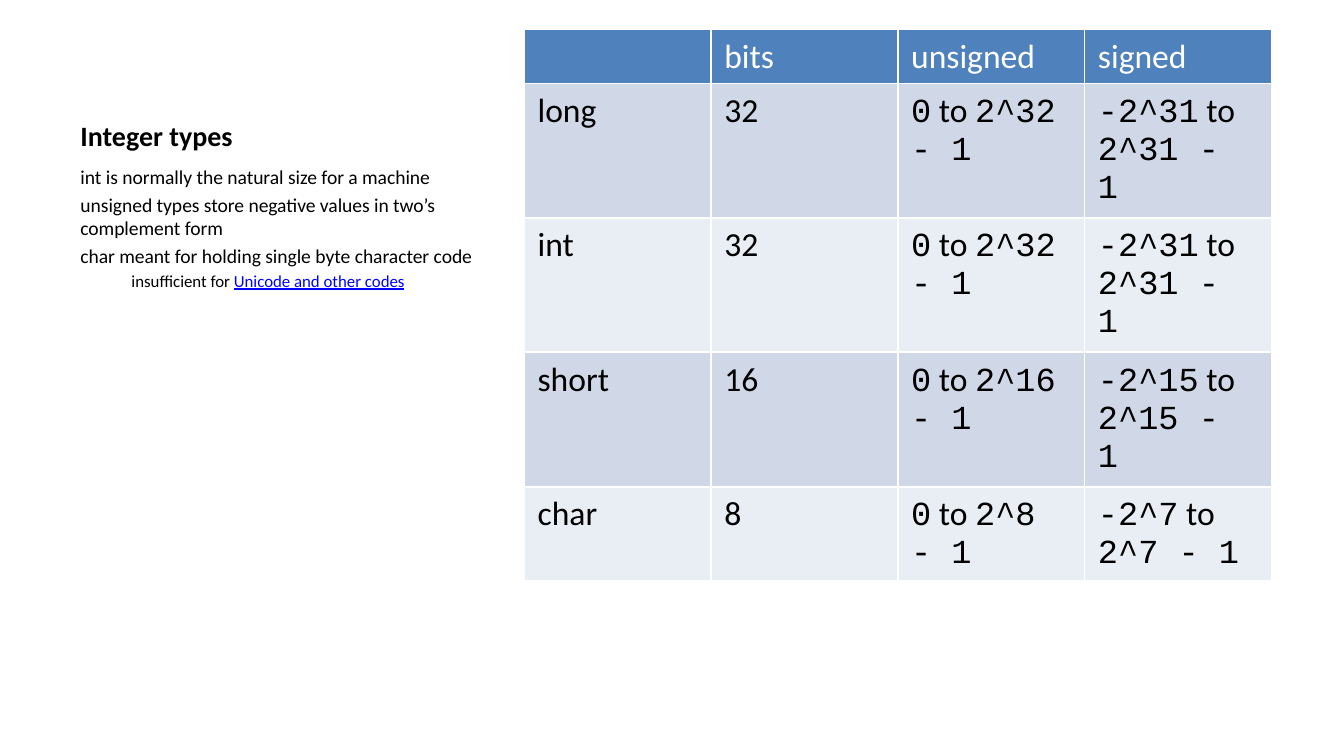
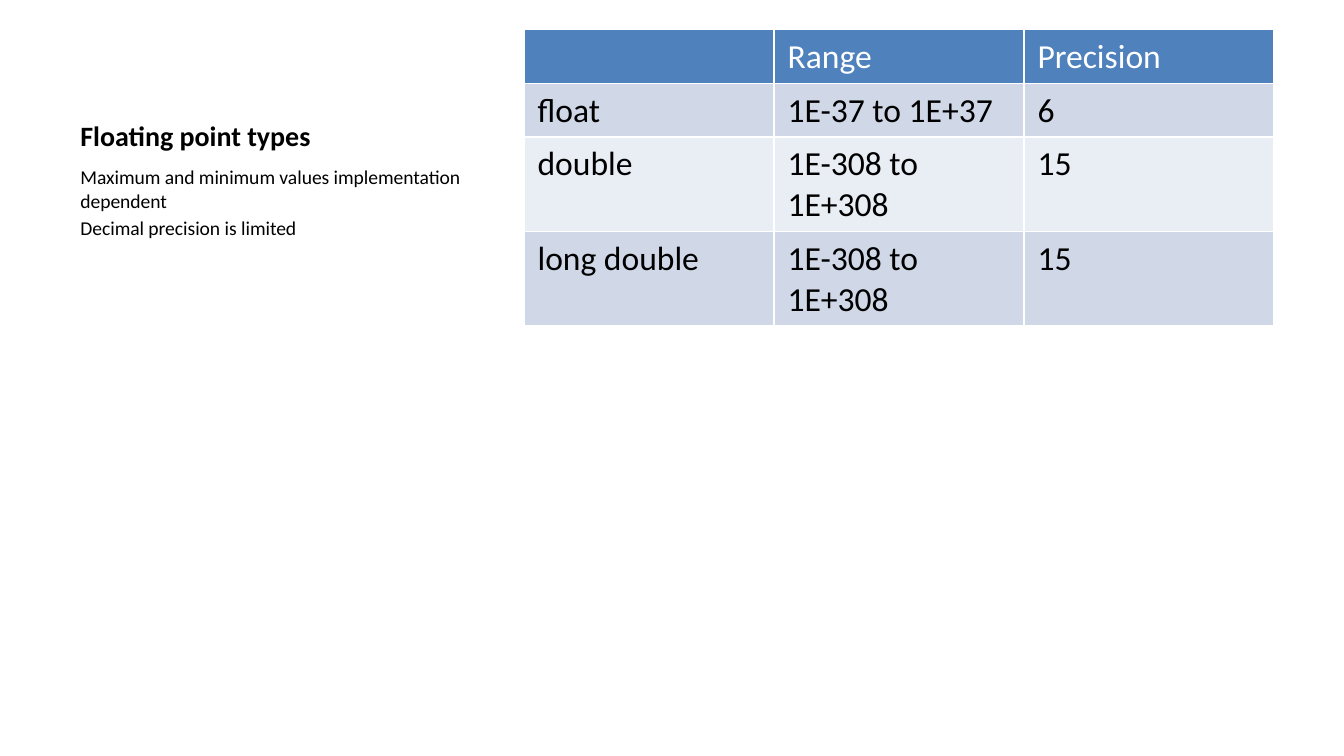
from lxml.etree import SubElement
from pptx import Presentation
from pptx.dml.color import RGBColor
from pptx.enum.text import MSO_ANCHOR
from pptx.oxml.ns import qn
from pptx.util import Inches, Pt

BLACK = RGBColor(0x00, 0x00, 0x00)
WHITE = RGBColor(0xFF, 0xFF, 0xFF)
LINK_BLUE = RGBColor(0x00, 0x00, 0xFF)
HEADER_BLUE = RGBColor(0x4F, 0x81, 0xBD)
BANDS = [RGBColor(0xD0, 0xD8, 0xE8), RGBColor(0xE9, 0xED, 0xF4)]

TEXT_FONT = "Calibri"
CODE_FONT = "Courier New"
NOTE_SIZES = [10.5, 9]
CELL_SIZE = 18

SLIDE_WIDTH = 10
SLIDE_HEIGHT = SLIDE_WIDTH * 9 / 16
LEFT, TOP = 0.5, 0.22
TEXT_WIDTH = 3.29
NOTES_TOP, NOTES_HEIGHT = 1.18, 3.85
TABLE_LEFT = 3.9
ROW_HEIGHT = 0.4

SLIDES = [
    {
        "title": "Integer types",
        "notes": [
            (0, "int is normally the natural size for a machine", ""),
            (0, "unsigned types store negative values in two’s complement form", ""),
            (0, "char meant for holding single byte character code", ""),
            (1, "insufficient for ", "Unicode and other codes"),
        ],
        "rows": [
            ("", "bits", "unsigned", "signed"),
            ("long", "32", ("0", "2^32 - 1"), ("-2^31", "2^31 - 1")),
            ("int", "32", ("0", "2^32 - 1"), ("-2^31", "2^31 - 1")),
            ("short", "16", ("0", "2^16 - 1"), ("-2^15", "2^15 - 1")),
            ("char", "8", ("0", "2^8 - 1"), ("-2^7", "2^7 - 1")),
        ],
        "column_width": 1.39,
    },
    {
        "title": "Floating point types",
        "notes": [
            (0, "Maximum and minimum values implementation dependent", ""),
            (0, "Decimal precision is limited", ""),
        ],
        "rows": [
            ("", "Range", "Precision"),
            ("float", "1E-37 to 1E+37", "6"),
            ("double", "1E-308 to 1E+308", "15"),
            ("long double", "1E-308 to 1E+308", "15"),
        ],
        "column_width": 1.86,
    },
]


def add_run(paragraph, text, size, color=BLACK, font=TEXT_FONT, bold=False):
    run = paragraph.add_run()
    run.text = text
    run.font.size = Pt(size)
    run.font.name = font
    run.font.color.rgb = color
    run.font.bold = bold
    return run


def add_text_frame(slide, top, height):
    box = slide.shapes.add_textbox(Inches(LEFT), Inches(top), Inches(TEXT_WIDTH), Inches(height))
    box.text_frame.word_wrap = True
    return box.text_frame


def add_title(slide, title):
    frame = add_text_frame(slide, TOP, NOTES_TOP - TOP)
    frame.vertical_anchor = MSO_ANCHOR.BOTTOM
    add_run(frame.paragraphs[0], title, 15, bold=True)


def add_notes(slide, notes):
    frame = add_text_frame(slide, NOTES_TOP, NOTES_HEIGHT)
    for index, (level, text, link) in enumerate(notes):
        paragraph = frame.paragraphs[0] if index == 0 else frame.add_paragraph()
        size = NOTE_SIZES[level]
        paragraph.level = level
        paragraph.space_before = Pt(size * 0.2)
        properties = paragraph._p.get_or_add_pPr()
        properties.set("marL", str(Inches(0.38 * level)))
        properties.set("indent", "0")
        add_run(paragraph, text, size)
        if link:
            add_run(paragraph, link, size, LINK_BLUE).font.underline = True


def set_borders(cell):
    properties = cell._tc.get_or_add_tcPr()
    for side in "LRTB":
        line = SubElement(properties, qn(f"a:ln{side}"), w=str(Pt(1)))
        solid = SubElement(line, qn("a:solidFill"))
        SubElement(solid, qn("a:srgbClr"), val=str(WHITE))


def fill_cell(cell, content, fill, color):
    set_borders(cell)
    cell.fill.solid()
    cell.fill.fore_color.rgb = fill
    paragraph = cell.text_frame.paragraphs[0]
    if isinstance(content, tuple):
        low, high = content
        add_run(paragraph, low, CELL_SIZE, color, CODE_FONT)
        add_run(paragraph, " to ", CELL_SIZE, color)
        add_run(paragraph, high, CELL_SIZE, color, CODE_FONT)
    elif content:
        add_run(paragraph, content, CELL_SIZE, color)


def add_type_table(slide, rows, column_width):
    column_count = len(rows[0])
    table = slide.shapes.add_table(
        len(rows), column_count, Inches(TABLE_LEFT), Inches(TOP),
        Inches(column_width * column_count), Inches(ROW_HEIGHT * len(rows)),
    ).table
    for row_index, row in enumerate(rows):
        if row_index == 0:
            fill, color = HEADER_BLUE, WHITE
        else:
            fill, color = BANDS[(row_index - 1) % 2], BLACK
        for column_index, content in enumerate(row):
            fill_cell(table.cell(row_index, column_index), content, fill, color)


def main():
    presentation = Presentation()
    presentation.slide_width = Inches(SLIDE_WIDTH)
    presentation.slide_height = Inches(SLIDE_HEIGHT)
    for content in SLIDES:
        slide = presentation.slides.add_slide(presentation.slide_layouts[6])
        add_title(slide, content["title"])
        add_notes(slide, content["notes"])
        add_type_table(slide, content["rows"], content["column_width"])
    presentation.save("out.pptx")


if __name__ == "__main__":
    main()
